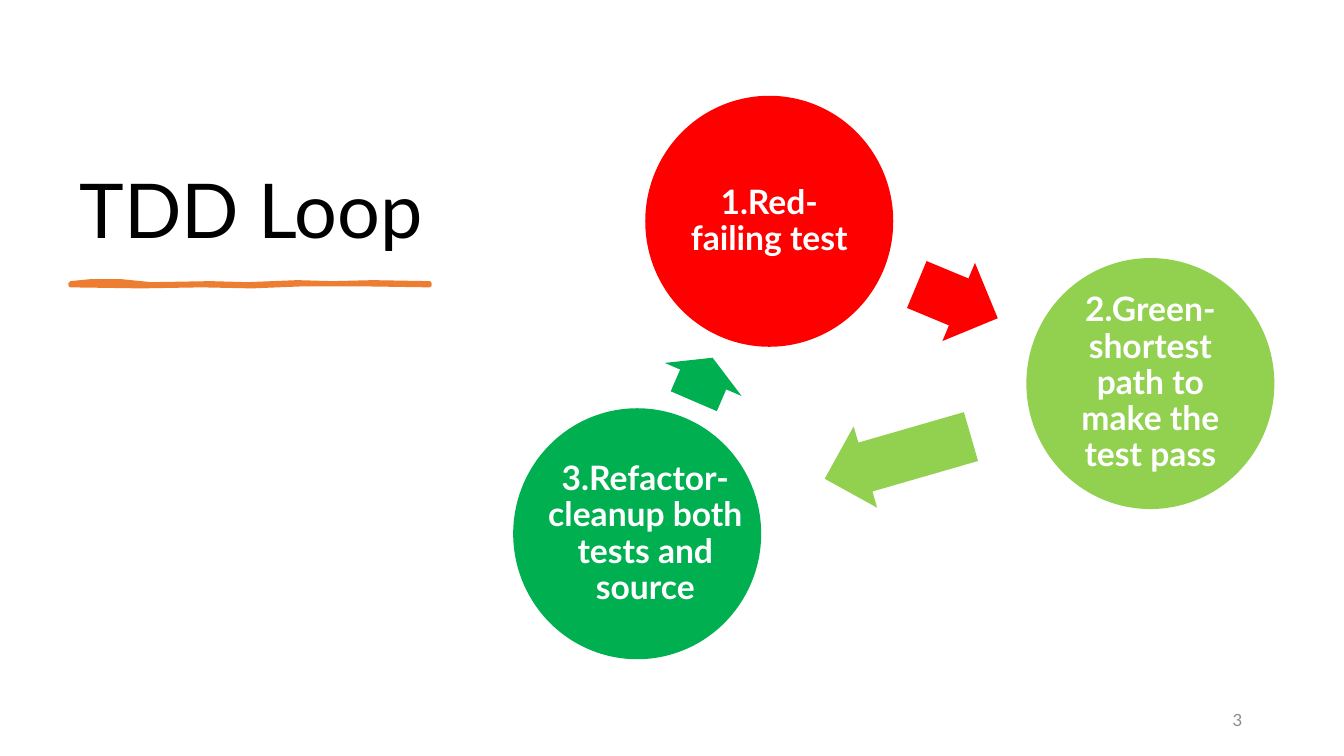
import pptx
import pptx.util
import pptx.dml.color
import pptx.enum.shapes
import pptx.enum.text

Inches = pptx.util.Inches
Pt = pptx.util.Pt
Shape = pptx.enum.shapes.MSO_SHAPE
Align = pptx.enum.text.PP_ALIGN
Anchor = pptx.enum.text.MSO_ANCHOR

FONT = "Lato"
COLORS = {
    "black": "000000",
    "white": "FFFFFF",
    "gray": "8C8C8C",
    "orange": "ED7D31",
    "red": "FF0000",
    "lime": "92D050",
    "green": "00B050",
}
DISC = (2.46, 2.49)
STEPS = [
    ("1.Red-failing test", "red", (6.4, 0.95), None,
     (9.06, 2.57, 0.87, 0.84), 22.6),
    ("2.Green- shortest path to make the test pass", "lime", (10.18, 2.56), None,
     (8.15, 4.12, 1.51, 0.84), 163.9),
    ("3.Refactor-cleanup both tests and source", "green", (5.09, 4.05),
     (0.15, 0.2, 2.32, 2.1), (6.74, 3.35, 0.47, 0.83), 293.3),
]
STROKE = [
    (0, 0), (0.2, -0.02), (0.5, -0.02), (0.8, 0.01), (1.39, 0),
    (1.75, 0.01), (2.25, -0.01), (2.6, 0), (3, -0.01), (3.56, 0),
    (3.56, 0.02), (2.9, 0.01), (2.3, 0.01), (1.8, 0.03), (1.3, 0.02),
    (0.7, 0.03), (0, 0.02),
]


def tint(name):
    return pptx.dml.color.RGBColor.from_string(COLORS[name])


def place(shape, box):
    shape.left, shape.top, shape.width, shape.height = map(Inches, box)


def paint(shape, color):
    shape.shadow.inherit = False
    shape.fill.solid()
    shape.fill.fore_color.rgb = tint(color)
    shape.line.fill.background()


def write(shape, text, size, color, align, anchor, bold=False, inset=None, after=0):
    frame = shape.text_frame
    frame.word_wrap = True
    frame.auto_size = pptx.enum.text.MSO_AUTO_SIZE.NONE
    frame.vertical_anchor = anchor
    if inset is not None:
        frame.margin_left = frame.margin_right = Inches(inset)
        frame.margin_top = frame.margin_bottom = Inches(inset)
    para = frame.paragraphs[0]
    para.alignment = align
    para.line_spacing = 0.9
    para.space_after = Pt(after)
    run = para.add_run()
    run.text = text
    run.font.name = FONT
    run.font.size = Pt(size)
    run.font.bold = bold
    run.font.color.rgb = tint(color)


def add_title(slide, box):
    title = slide.shapes.title
    place(title, box)
    write(title, "TDD Loop", 54, "black", Align.LEFT, Anchor.BOTTOM, after=6)


def add_rule(slide, left, top):
    points = [(Inches(left + x), Inches(top + y)) for x, y in STROKE]
    pen = slide.shapes.build_freeform(*points[0])
    pen.add_line_segments(points[1:], close=True)
    rule = pen.convert_to_shape()
    paint(rule, "orange")
    rule.line.color.rgb = tint("orange")
    rule.line.width = Pt(3)


def add_step(slide, text, color, spot, label, arrow, turn):
    disc = slide.shapes.add_shape(Shape.OVAL, *map(Inches, spot + DISC))
    paint(disc, color)
    holder = disc
    if label:
        dx, dy, width, height = label
        box = (spot[0] + dx, spot[1] + dy, width, height)
        holder = slide.shapes.add_textbox(*map(Inches, box))
    write(holder, text, 24, "white", Align.CENTER, Anchor.MIDDLE,
          bold=True, inset=0.06)
    head = slide.shapes.add_shape(Shape.RIGHT_ARROW, *map(Inches, arrow))
    head.adjustments[0] = 0.6
    head.adjustments[1] = 0.5
    head.rotation = turn
    paint(head, color)


def add_page(slide, box):
    page = slide.shapes.add_textbox(*map(Inches, box))
    write(page, "3", 12, "gray", Align.RIGHT, Anchor.MIDDLE, after=6)


def main():
    deck = pptx.Presentation()
    deck.slide_width = Inches(13.33)
    deck.slide_height = Inches(7.5)
    slide = deck.slides.add_slide(deck.slide_layouts[5])
    add_title(slide, (0.69, 0.7, 3.75, 1.88))
    add_rule(slide, 0.7, 2.81)
    for step in STEPS:
        add_step(slide, *step)
    add_page(slide, (9.42, 6.95, 3, 0.4))
    deck.save("out.pptx")


if __name__ == "__main__":
    main()
